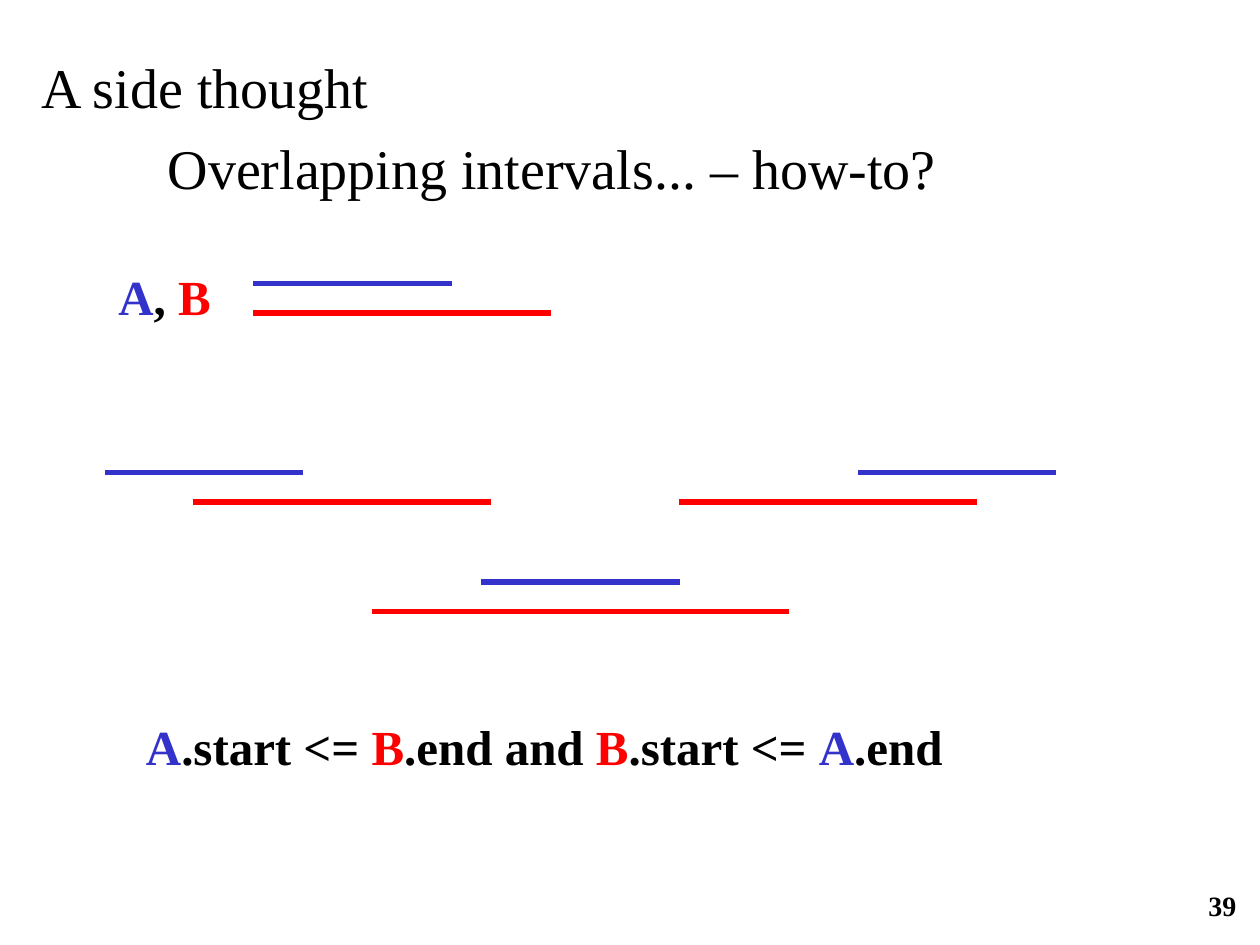
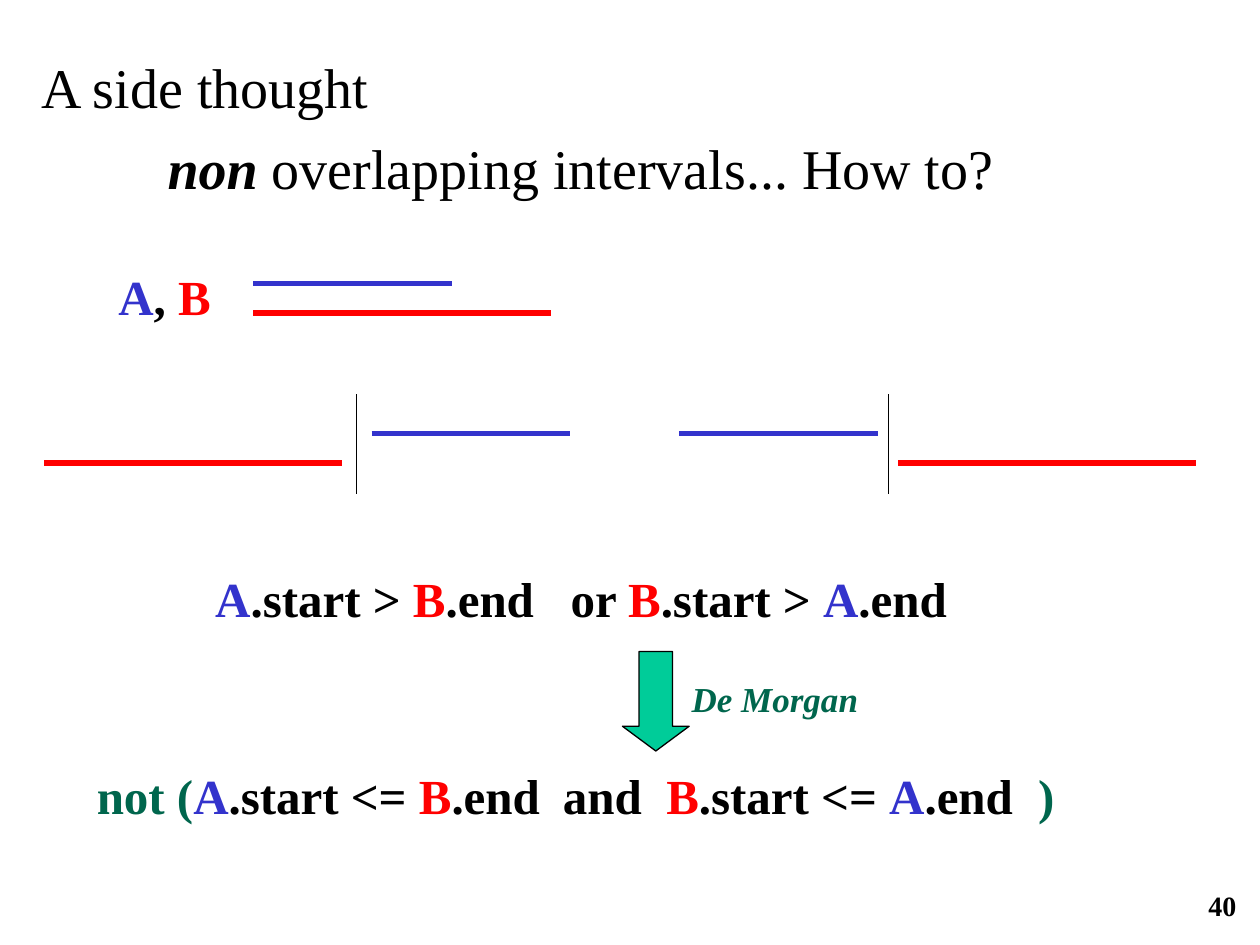
from pptx import Presentation
from pptx.dml.color import RGBColor
from pptx.enum.shapes import MSO_CONNECTOR, MSO_SHAPE
from pptx.enum.text import MSO_ANCHOR, MSO_AUTO_SIZE, PP_ALIGN
from pptx.oxml.ns import qn
from pptx.util import Inches, Pt
from lxml import etree

STRAIGHT = MSO_CONNECTOR.STRAIGHT
DOWN_ARROW = MSO_SHAPE.DOWN_ARROW
MIDDLE = MSO_ANCHOR.MIDDLE
NO_FIT = MSO_AUTO_SIZE.NONE
LEFT, RIGHT = PP_ALIGN.LEFT, PP_ALIGN.RIGHT

rgb = RGBColor.from_string
FONT = "Times New Roman"
BLUE, RED, GREEN, MINT, BLACK = "3333CC", "FF0000", "00664D", "00CC99", "000000"
WORD_COLORS = {"A": BLUE, "B": RED, "not (": GREEN, "\t)": GREEN, "De Morgan": GREEN}
A_LEN, B_LEN, ROW_GAP = 1.575, 2.365, 0.235


def add_line(s, x1, y1, x2, y2, color, width):
    line = s.shapes.add_connector(STRAIGHT, Inches(x1), Inches(y1), Inches(x2), Inches(y2))
    line.line.color.rgb = rgb(color)
    line.line.width = Pt(width)
    etree.SubElement(line._element.spPr, qn("a:effectLst"))


def add_text(s, x, y, w, h, text, size=28, align=LEFT, italic=False, tabs=()):
    tf = s.shapes.add_textbox(Inches(x), Inches(y), Inches(w), Inches(h)).text_frame
    tf.word_wrap = True
    p = tf.paragraphs[0]
    p.alignment = align
    p.font.name, p.font.size = FONT, Pt(size)
    p.font.bold, p.font.italic = True, italic
    if tabs:
        tab_list = etree.Element(qn("a:tabLst"))
        for pos in tabs:
            etree.SubElement(tab_list, qn("a:tab"), pos=str(Inches(pos)), algn="l")
        p._p.get_or_add_pPr().insert(0, tab_list)
    for part in text.split("|"):
        r = p.add_run()
        r.text = part
        r.font.color.rgb = rgb(WORD_COLORS.get(part, BLACK))


prs = Presentation()
prs.slide_width, prs.slide_height = Inches(10), Inches(7.5)

slides = [
    {
        "number": "39",
        "subtitle": [("Overlapping intervals... – how-to?", False)],
        "intervals": [
            (0.83, 1.53, 3.75, B_LEN),
            (6.81, 5.39, 3.75, B_LEN),
            (3.82, 2.95, 4.62, 3.31),
        ],
        "formulas": [(1.06, 5.64, 7.48, "A|.start <= |B|.end and |B|.start <= |A|.end", ())],
    },
    {
        "number": "40",
        "subtitle": [("non", True), (" overlapping intervals... How to?", False)],
        "intervals": [(5.39, 7.13, 3.44, B_LEN), (2.95, 0.35, 3.44, B_LEN)],
        "formulas": [
            (1.61, 4.46, 7.48, "A|.start > |B|.end\tor |B|.start > |A|.end", (2.82,)),
            (0.67, 6.03, 8.9, "not (|A|.start <= |B|.end\tand\t|B|.start <= |A|.end|\t)",
             (3.7, 4.52, 7.47)),
        ],
    },
]

for content in slides:
    s = prs.slides.add_slide(prs.slide_layouts[5])
    title = s.shapes.title
    title.left, title.top = Inches(0.23), Inches(0.31)
    title.width, title.height = Inches(9.61), Inches(1.39)
    tf = title.text_frame
    tf.auto_size, tf.vertical_anchor = NO_FIT, MIDDLE
    tf.text = "A side thought"
    p = tf.add_paragraph()
    p._p.get_or_add_pPr().set("marL", str(Inches(1)))
    for text, emphasis in content["subtitle"]:
        r = p.add_run()
        r.text = text
        r.font.bold = r.font.italic = emphasis
    for p in tf.paragraphs:
        p.alignment = LEFT
        p.space_before = Pt(8)
        p.font.name, p.font.size = FONT, Pt(32)
        p.font.color.rgb = rgb(BLACK)

    add_text(s, 0.84, 2.07, 1.09, 0.57, "A|, |B")
    for a_x, b_x, y, b_len in [(2.01, 2.01, 2.25, B_LEN)] + content["intervals"]:
        add_line(s, a_x, y, a_x + A_LEN, y, BLUE, 3)
        add_line(s, b_x, y + ROW_GAP, b_x + b_len, y + ROW_GAP, RED, 3)
    for x, y, w, text, tabs in content["formulas"]:
        add_text(s, x, y, w, 0.57, text, tabs=tabs)
    add_text(s, 9.33, 7, 0.58, 0.42, content["number"], size=16, align=RIGHT)

for x in (2.83, 7.05):
    add_line(s, x, 3.13, x, 3.92, BLACK, 0.75)

arrow = s.shapes.add_shape(DOWN_ARROW, Inches(4.94), Inches(5.17), Inches(0.53), Inches(0.79))
arrow.adjustments[0], arrow.adjustments[1] = 0.5, 0.37
arrow.shadow.inherit = False
arrow.fill.solid()
arrow.fill.fore_color.rgb = rgb(MINT)
arrow.line.color.rgb = rgb(BLACK)
arrow.line.width = Pt(0.75)
add_text(s, 5.39, 5.33, 1.65, 0.44, "De Morgan", size=20, italic=True)

prs.save("out.pptx")
